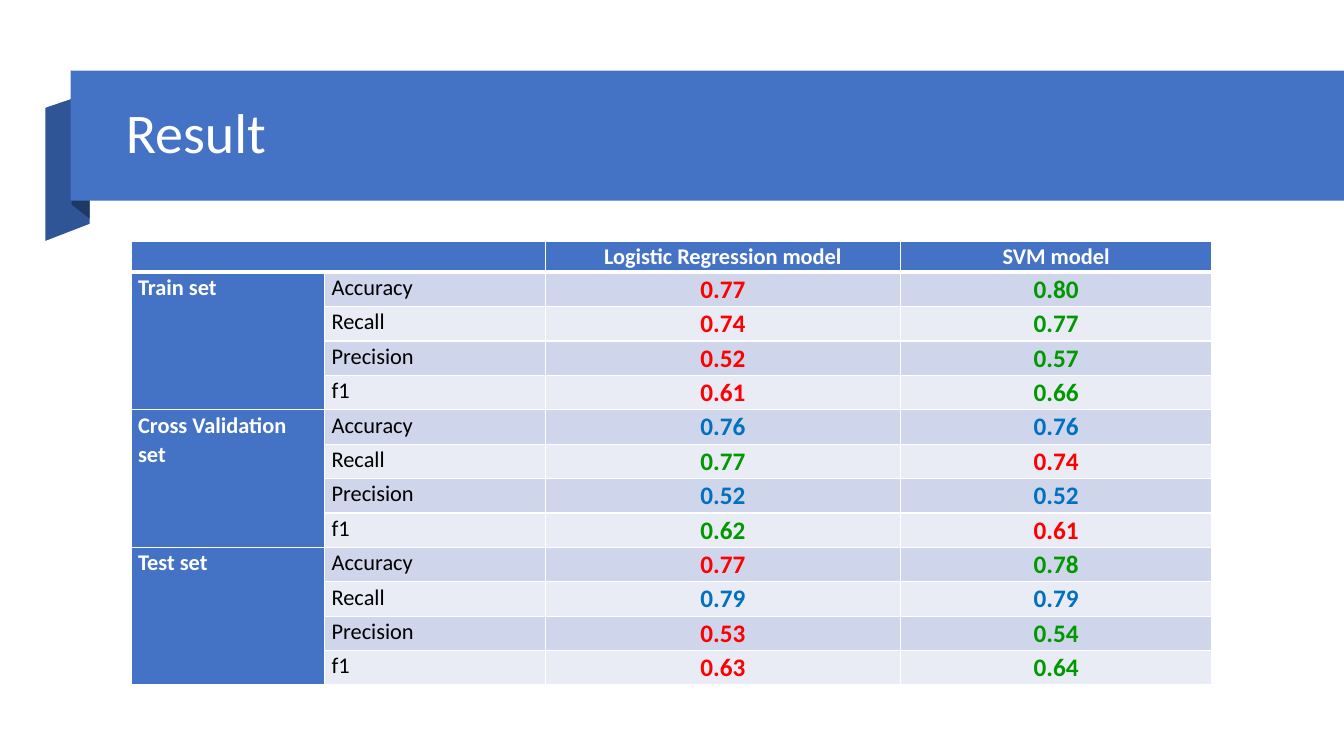
from dataclasses import dataclass

from lxml import etree
from pptx import Presentation
from pptx import util as u
from pptx.dml.color import RGBColor
from pptx.enum import shapes, text
from pptx.oxml.ns import qn


@dataclass(frozen=True)
class Theme:
    font: str = "Calibri"
    blue: str = "4472C4"
    fold: str = "2F5597"
    fold_shade: str = "203864"
    bands: tuple[str, str] = ("CFD5EA", "E9EBF5")
    white: str = "FFFFFF"
    black: str = "000000"
    better: str = "009900"
    worse: str = "FF0000"
    equal: str = "0070C0"
    title_size: int = 40
    label_size: int = 16
    score_size: int = 18
    thin: float = 1
    thick: float = 3


@dataclass(frozen=True)
class RibbonFold:
    points: tuple[tuple[float, float], ...]
    color: str


@dataclass(frozen=True)
class DataSet:
    name: str
    scores: tuple[tuple[str, str], ...]  # (logistic regression, SVM) per metric


@dataclass(frozen=True)
class CellStyle:
    fill: str
    color: str
    size: int
    bold: bool = True
    centred: bool = False
    top: float = 1
    bottom: float = 1


THEME = Theme()
FOLDS = (
    RibbonFold(((0.89, 2.22), (0.45, 2.39), (0.45, 1.07), (0.89, 0.92)), THEME.fold),
    RibbonFold(((0.89, 2.17), (0.71, 2.03), (0.71, 0.7), (0.89, 0.85)), THEME.fold_shade),
)
MODELS = ("Logistic Regression model", "SVM model")
METRICS = ("Accuracy", "Recall", "Precision", "f1")
DATA_SETS = (
    DataSet("Train set", (("0.77", "0.80"), ("0.74", "0.77"), ("0.52", "0.57"), ("0.61", "0.66"))),
    DataSet("Cross Validation set",
            (("0.76", "0.76"), ("0.77", "0.74"), ("0.52", "0.52"), ("0.62", "0.61"))),
    DataSet("Test set", (("0.77", "0.78"), ("0.79", "0.79"), ("0.53", "0.54"), ("0.63", "0.64"))),
)
COLUMN_WIDTHS = (1.92, 2.19, 3.52, 3.09)
HEADER_HEIGHT = 0.31
TABLE_HEIGHT = 4.41


def paint(shape, color: str) -> None:
    shape.shadow.inherit = False
    shape.fill.solid()
    shape.fill.fore_color.rgb = RGBColor.from_string(color)
    shape.line.fill.background()


def add_span(para, words: str, size: int, color: str, bold: bool = False) -> None:
    span = para.add_run()
    span.text = words
    span.font.name = THEME.font
    span.font.size = u.Pt(size)
    span.font.bold = bold
    span.font.color.rgb = RGBColor.from_string(color)


def draw_fold(page, fold: RibbonFold) -> None:
    corners = [(u.Inches(x), u.Inches(y)) for x, y in fold.points]
    builder = page.shapes.build_freeform(*corners[0])
    builder.add_line_segments(corners[1:], close=True)
    paint(builder.convert_to_shape(), fold.color)


def draw_title(page, words: str) -> None:
    banner = page.shapes.add_shape(shapes.MSO_SHAPE.RECTANGLE, u.Inches(0.7), u.Inches(0.7),
                                   u.Inches(12.63), u.Inches(1.29))
    paint(banner, THEME.blue)
    box = page.shapes.add_textbox(u.Inches(1.15), u.Inches(0.86), u.Inches(11.27), u.Inches(0.96))
    box.text_frame.word_wrap = True
    box.text_frame.vertical_anchor = text.MSO_ANCHOR.MIDDLE
    para = box.text_frame.paragraphs[0]
    para.line_spacing = 0.9
    add_span(para, words, THEME.title_size, THEME.white)


def set_borders(cell, top: float, bottom: float) -> None:
    """Give the cell white edges; must run before its fill is set."""
    properties = cell._tc.get_or_add_tcPr()
    edges = (("a:lnL", THEME.thin), ("a:lnR", THEME.thin), ("a:lnT", top), ("a:lnB", bottom))
    for tag, width in edges:
        line = etree.SubElement(properties, qn(tag), w=str(u.Pt(width)))
        fill = etree.SubElement(line, qn("a:solidFill"))
        etree.SubElement(fill, qn("a:srgbClr"), val=THEME.white)


def fill_cell(cell, words: str, style: CellStyle) -> None:
    set_borders(cell, style.top, style.bottom)
    cell.fill.solid()
    cell.fill.fore_color.rgb = RGBColor.from_string(style.fill)
    cell.margin_left = cell.margin_right = u.Inches(0.07)
    cell.margin_top = cell.margin_bottom = 0
    para = cell.text_frame.paragraphs[0]
    para.line_spacing = 1.07
    para.alignment = text.PP_ALIGN.CENTER if style.centred else text.PP_ALIGN.LEFT
    if words:
        add_span(para, words, style.size, style.color, style.bold)
    else:
        para.font.size = u.Pt(style.size)


def score_color(score: str, rival: str) -> str:
    if float(score) == float(rival):
        return THEME.equal
    return THEME.better if float(score) > float(rival) else THEME.worse


def fill_data_set(table, data: DataSet, first_row: int) -> None:
    for index, (metric, scores) in enumerate(zip(METRICS, data.scores)):
        row = first_row + index
        band = THEME.bands[index % 2]
        top = THEME.thick if row == 1 else THEME.thin
        fill_cell(table.cell(row, 0), data.name if index == 0 else "",
                  CellStyle(THEME.blue, THEME.white, THEME.label_size, top=top))
        fill_cell(table.cell(row, 1), metric,
                  CellStyle(band, THEME.black, THEME.label_size, bold=False, top=top))
        for column, (score, rival) in enumerate(zip(scores, reversed(scores)), start=2):
            fill_cell(table.cell(row, column), score,
                      CellStyle(band, score_color(score, rival), THEME.score_size,
                                centred=True, top=top))
    table.cell(first_row, 0).merge(table.cell(first_row + len(METRICS) - 1, 0))


def draw_results(page) -> None:
    body_rows = len(DATA_SETS) * len(METRICS)
    table = page.shapes.add_table(body_rows + 1, len(COLUMN_WIDTHS), u.Inches(1.3), u.Inches(2.39),
                                  u.Inches(sum(COLUMN_WIDTHS)), u.Inches(TABLE_HEIGHT)).table
    for column, width in zip(table.columns, COLUMN_WIDTHS):
        column.width = u.Inches(width)
    for index, row in enumerate(table.rows):
        body_height = (TABLE_HEIGHT - HEADER_HEIGHT) / body_rows
        row.height = u.Inches(body_height if index else HEADER_HEIGHT)

    header = CellStyle(THEME.blue, THEME.white, THEME.label_size, centred=True,
                       bottom=THEME.thick)
    for column, words in enumerate(("", "", *MODELS)):
        fill_cell(table.cell(0, column), words, header)
    table.cell(0, 0).merge(table.cell(0, 1))
    for index, data in enumerate(DATA_SETS):
        fill_data_set(table, data, 1 + index * len(METRICS))


def main() -> None:
    deck = Presentation()
    deck.slide_width, deck.slide_height = u.Inches(13.33), u.Inches(7.5)
    page = deck.slides.add_slide(deck.slide_layouts[6])
    for fold in FOLDS:
        draw_fold(page, fold)
    draw_title(page, "Result")
    draw_results(page)
    deck.save("out.pptx")


if __name__ == "__main__":
    main()
